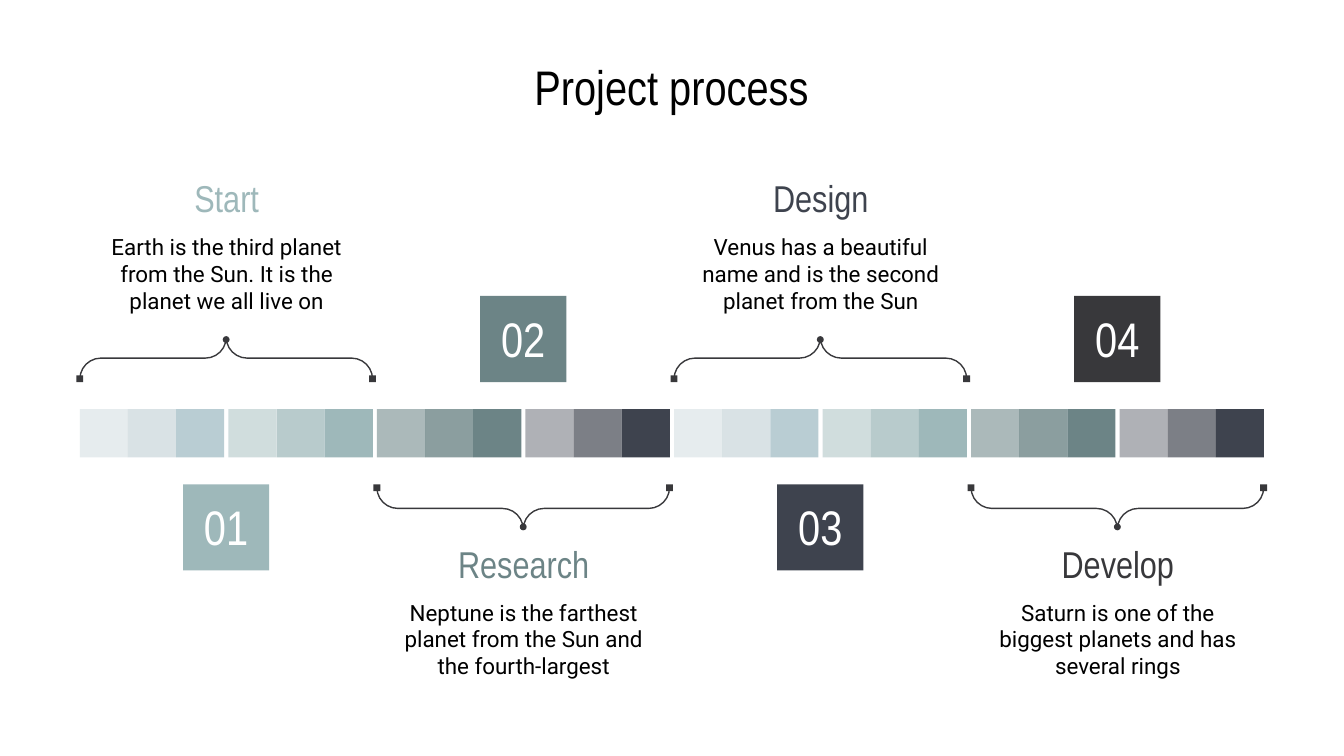
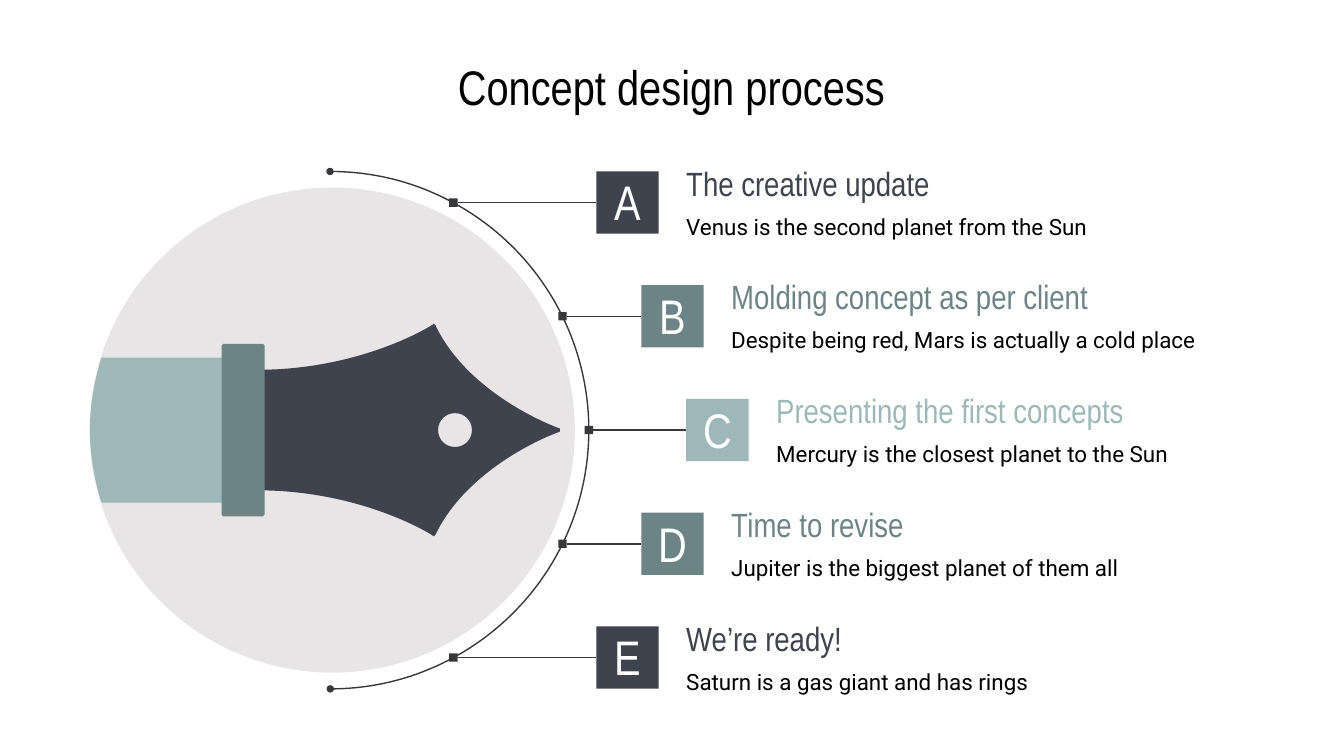
import math

from lxml import etree
from pptx import Presentation, util as u
from pptx.dml.color import RGBColor
from pptx.enum import shapes, text
from pptx.oxml import ns

INK, SLATE, TEAL, SAGE = "38383B", "3E434E", "6C8486", "9EB8BA"
MIST, SKY, DISC, BLACK, WHITE = "CEDADD", "B9CDD3", "E8E5E6", "000000", "FFFFFF"
DISPLAY, BODY = "Arial Narrow", "Roboto"
LEFT, CENTER = text.PP_ALIGN.LEFT, text.PP_ALIGN.CENTER
FORMS = shapes.MSO_SHAPE
INSET = 0.25

# Slide 1: (name, colour, description)
STEPS = [
    ("Start", SAGE, "Earth is the third planet from the Sun. It is the planet we all live on"),
    ("Research", TEAL, "Neptune is the farthest planet from the Sun and the fourth-largest"),
    ("Design", SLATE, "Venus has a beautiful name and is the second planet from the Sun"),
    ("Develop", INK, "Saturn is one of the biggest planets and has several rings"),
]
# Two bars per step, each of three (colour, opacity) cells
BARS = [
    [[(MIST, 49), (MIST, 76), (SKY, 100)], [(SAGE, 48), (SAGE, 73), (SAGE, 100)]],
    [[(TEAL, 57), (TEAL, 79), (TEAL, 100)], [(SLATE, 41), (SLATE, 68), (SLATE, 100)]],
]
BAR_LEFT, BAR_PITCH, CELL, BAND_Y = 1.51, 19.65 / 7, 0.91, 8.19
BRACE_SPAN, BRACE_DEPTH = 5.53, 0.79

# Slide 2: (letter, colour, name, description)
STAGES = [
    ("A", SLATE, "The creative update", "Venus is the second planet from the Sun"),
    ("B", TEAL, "Molding concept as per client",
     "Despite being red, Mars is actually a cold place"),
    ("C", SAGE, "Presenting the first concepts", "Mercury is the closest planet to the Sun"),
    ("D", TEAL, "Time to revise", "Jupiter is the biggest planet of them all"),
    ("E", SLATE, "We’re ready!", "Saturn is a gas giant and has rings"),
]
PEN_Y, ARC_X, ARC_RADIUS = 8.13, 6.24, 4.89
STAGE_PITCH, STAGE_INDENT, MIDDLE_BADGE = 2.15, 0.85, 12.97

# Pen outlines start at a point; each segment is a line (one point) or a
# cubic curve (three points), given as (x, distance from the pen's axis).
NIB = ((10.58, -0.03), [
    [(10.16, -0.18), (8.79, -0.81), (8.23, -1.98)],
    [(8.2, -2.01)],
    [(8.18, -1.98), (6.88, -1.17), (4.98, -1.14)],
    [(4.95, -1.12)],
])
SLEEVE = ((4.24, -1.35), [
    [(4.22, -1.37)],
    [(1.93, -1.37)],
    [(1.91, -1.35)],
    [(1.78, -0.91), (1.7, -0.46), (1.7, 0)],
])
COLLAR = ((5, -1.6), [[(4.97, -1.63)], [(4.22, -1.63)], [(4.19, -1.6)]])
HOLE = ((8.92, 0), [
    [(8.92, 0.18), (8.78, 0.32), (8.6, 0.32)],
    [(8.42, 0.32), (8.28, 0.18), (8.28, 0)],
    [(8.28, -0.18), (8.42, -0.32), (8.6, -0.32)],
    [(8.78, -0.32), (8.92, -0.18), (8.92, 0)],
])


def rgb(colour):
    return RGBColor.from_string(colour)


def paint(shape, colour, opacity=100):
    """Fill without outline or shadow; colour None leaves the shape empty."""
    shape.shadow.inherit = False
    shape.line.fill.background()
    if colour is None:
        shape.fill.background()
        return
    shape.fill.solid()
    shape.fill.fore_color.rgb = rgb(colour)
    if opacity < 100:
        value = shape.fill._xPr.find(".//" + ns.qn("a:srgbClr"))
        etree.SubElement(value, ns.qn("a:alpha"), val=str(opacity * 1000))


def stroke(line):
    line.color.rgb = rgb(INK)
    line.width = u.Pt(0.75)


def block(group, form, cx, cy, width, height, colour, opacity=100):
    """Preset shape placed by its centre."""
    shape = group.shapes.add_shape(
        form, u.Cm(cx - width / 2), u.Cm(cy - height / 2), u.Cm(width), u.Cm(height))
    paint(shape, colour, opacity)
    return shape


def write(shape, words, font, size, colour, align, bottom=INSET):
    frame = shape.text_frame
    frame.word_wrap = True
    frame.auto_size = text.MSO_AUTO_SIZE.NONE
    frame.vertical_anchor = text.MSO_ANCHOR.MIDDLE
    frame.margin_left = frame.margin_right = frame.margin_top = u.Cm(INSET)
    frame.margin_bottom = u.Cm(bottom)
    paragraph = frame.paragraphs[0]
    paragraph.text = words
    paragraph.alignment = align
    paragraph.font.name = font
    paragraph.font.size = u.Pt(size)
    paragraph.font.color.rgb = rgb(colour)


def label(group, left, top, width, height, words, font, size, colour, align):
    box = group.shapes.add_textbox(u.Cm(left), u.Cm(top), u.Cm(width), u.Cm(height))
    write(box, words, font, size, colour, align)


def badge(group, cx, cy, size, mark, colour):
    square = block(group, FORMS.RECTANGLE, cx, cy, size, size, colour)
    write(square, mark, DISPLAY, 26, WHITE, CENTER, bottom=0.29)


def titled_slide(deck, words):
    slide = deck.slides.add_slide(deck.slide_layouts[5])
    title = slide.shapes.title
    title.left, title.top = u.Cm(1.14), u.Cm(0.82)
    title.width, title.height = u.Cm(23.11), u.Cm(1.6)
    write(title, words, DISPLAY, 26, BLACK, CENTER)
    return slide


def bracket(group, cx, side):
    """Brace with end markers; side is -1 above the band and 1 below it."""
    brace = block(group, FORMS.LEFT_BRACE, cx, BAND_Y + side * 1.42,
                  BRACE_DEPTH, BRACE_SPAN, None)
    brace.rotation = 90 if side < 0 else 270
    brace.adjustments[0] = brace.adjustments[1] = 0.5
    stroke(brace.line)
    for end in (-1, 1):
        block(group, FORMS.RECTANGLE, cx + end * BRACE_SPAN / 2,
              BAND_Y + side * 1.03, 0.13, 0.13, INK)
    block(group, FORMS.OVAL, cx, BAND_Y + side * 1.77, 0.13, 0.13, INK)


def process_step(slide, index):
    group = slide.shapes.add_group_shape()
    name, colour, description = STEPS[index]
    left = BAR_LEFT + 2 * BAR_PITCH * index
    cx = left + BRACE_SPAN / 2
    side = 1 if index % 2 else -1
    for bar, cells in enumerate(BARS[index % 2]):
        for cell, (tint, opacity) in enumerate(cells):
            block(group, FORMS.RECTANGLE, left + bar * BAR_PITCH + (cell + 0.5) * CELL,
                  BAND_Y, CELL, CELL, tint, opacity)
    bracket(group, cx, side)
    top = 3.26 if side < 0 else 10.17
    label(group, cx - 2.69, top, 5.4, 0.95, name, DISPLAY, 20, colour, CENTER)
    label(group, cx - 2.69, top + 0.95, 5.4, 1.92, description, BODY, 12, BLACK, CENTER)
    badge(group, cx, BAND_Y - side * 1.78, 1.63, f"{index + 1:02}", colour)


def mirrored(start, segments):
    """Complete an upper profile with its reflection in the pen's axis."""
    anchors = [start] + [segment[-1] for segment in segments]
    below = [[anchors[-1]]] if anchors[-1][1] else []
    for anchor, segment in zip(anchors[-2::-1], segments[::-1]):
        below.append(segment[-2::-1] + [anchor])
    return start, segments + [[(x, -dy) for x, dy in segment] for segment in below]


def pen_part(group, colour, *contours):
    def place(point):
        return u.Cm(point[0]), u.Cm(PEN_Y + point[1])

    builder = None
    for start, segments in contours:
        if builder is None:
            builder = group.shapes.build_freeform(*place(start))
        else:
            builder.move_to(*place(start))
        builder.add_line_segments([place(p) for segment in segments for p in segment], close=True)
    part = builder.convert_to_shape()
    paint(part, colour)

    lines = iter(list(part._element.iter(ns.qn("a:lnTo"))))
    for _, segments in contours:
        for segment in segments:
            first, *others = [next(lines) for _ in segment]
            if others:
                first.tag = ns.qn("a:cubicBezTo")
                for other in others:
                    first.append(other[0])
                    other.getparent().remove(other)


def half_ring(group):
    arc = block(group, FORMS.ARC, ARC_X, PEN_Y, 2 * ARC_RADIUS, 2 * ARC_RADIUS, None)
    arc.rotation = 270
    arc.adjustments[0], arc.adjustments[1] = 215.99, 107.97
    stroke(arc.line)
    outline = arc.line._get_or_add_ln()
    for end in ("a:headEnd", "a:tailEnd"):
        etree.SubElement(outline, ns.qn(end), type="oval", w="sm", len="sm")


def pen(slide):
    group = slide.shapes.add_group_shape()
    block(group, FORMS.OVAL, 6.28, PEN_Y, 9.17, 9.17, DISC)
    pen_part(group, SLATE, HOLE, mirrored(*NIB))
    pen_part(group, SAGE, mirrored(*SLEEVE))
    pen_part(group, TEAL, mirrored(*COLLAR))
    half_ring(group)


def stage(slide, index):
    group = slide.shapes.add_group_shape()
    letter, colour, name, description = STAGES[index]
    offset = index - len(STAGES) // 2
    dy = offset * STAGE_PITCH
    cy = PEN_Y + dy
    left = MIDDLE_BADGE - STAGE_INDENT * abs(offset)
    marker_x = ARC_X + math.sqrt(ARC_RADIUS ** 2 - dy ** 2)
    label(group, left + 1.45, cy - 0.85, 9.63, 0.95, name, DISPLAY, 18, colour, LEFT)
    label(group, left + 1.45, cy + 0.1, 9.63, 0.69, description, BODY, 12, BLACK, LEFT)
    badge(group, left + 0.59, cy, 1.18, letter, colour)
    block(group, FORMS.RECTANGLE, marker_x, cy, 0.16, 0.16, INK)
    leader = group.shapes.add_connector(
        shapes.MSO_CONNECTOR.STRAIGHT, u.Cm(marker_x + 0.08), u.Cm(cy), u.Cm(left), u.Cm(cy))
    stroke(leader.line)
    etree.SubElement(leader._element.spPr, ns.qn("a:effectLst"))


def main():
    deck = Presentation()
    deck.slide_width, deck.slide_height = u.Cm(25.4), u.Cm(14.29)

    project = titled_slide(deck, "Project process")
    for index in range(len(STEPS)):
        process_step(project, index)

    concept = titled_slide(deck, "Concept design process")
    pen(concept)
    for index in range(len(STAGES)):
        stage(concept, index)

    deck.save("out.pptx")


if __name__ == "__main__":
    main()
